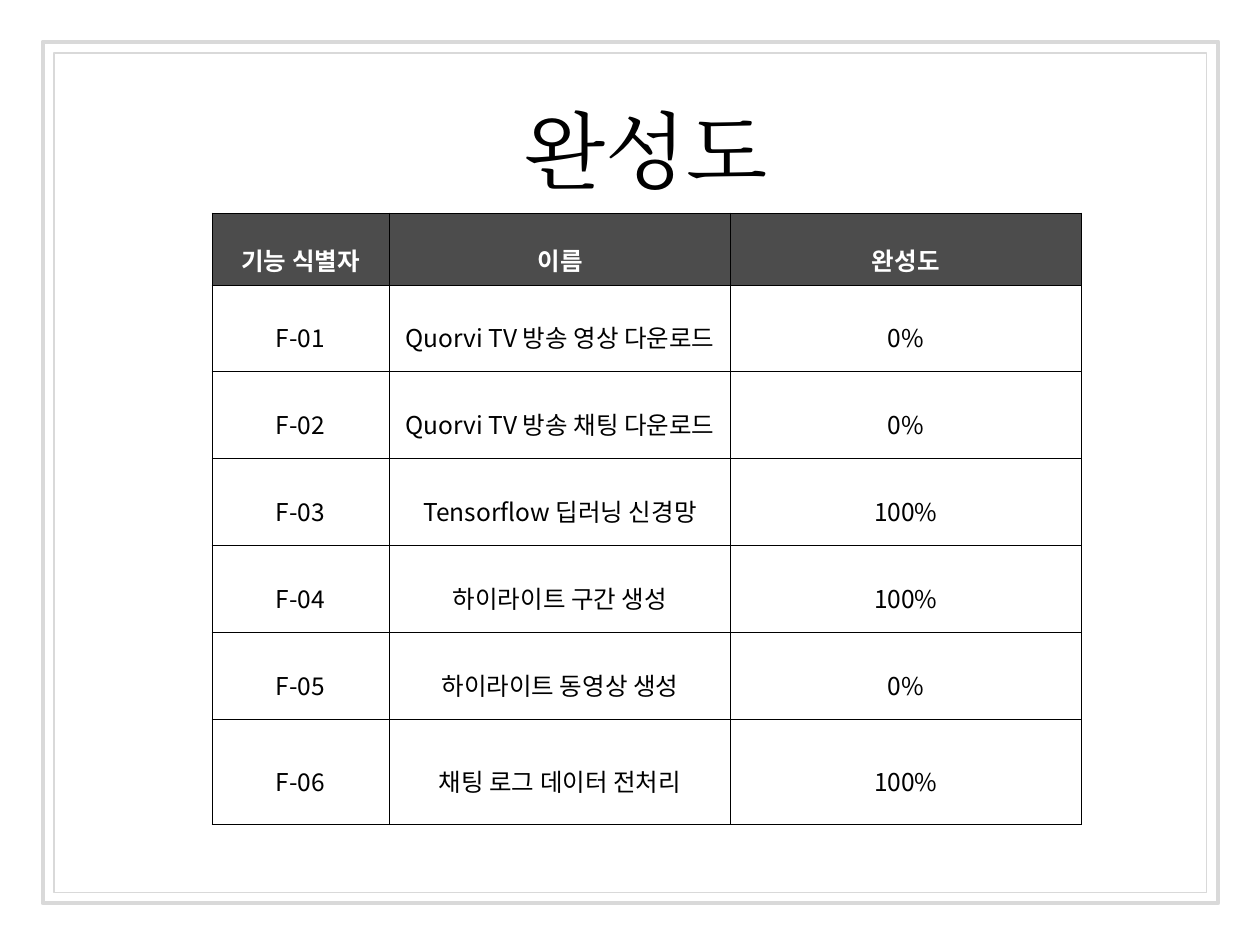
from lxml import etree
from pptx import Presentation
from pptx.dml.color import RGBColor
from pptx.enum.shapes import MSO_SHAPE
from pptx.enum.text import MSO_ANCHOR, PP_ALIGN
from pptx.oxml.ns import qn
from pptx.util import Cm, Pt

RECTANGLE = MSO_SHAPE.RECTANGLE
CENTER = PP_ALIGN.CENTER
MIDDLE = MSO_ANCHOR.MIDDLE
TITLE_ONLY = 5

COLORS = {"frame": "D9D9D9", "header": "4C4C4C", "white": "FFFFFF", "black": "000000"}
TITLE_FONT = "TeX Gyre Pagella"
BODY_FONT = "Noto Sans CJK KR"

HEADINGS = ("기능 식별자", "이름", "완성도")
FEATURES = (
    ("Quorvi TV 방송 영상 다운로드", "0%"),
    ("Quorvi TV 방송 채팅 다운로드", "0%"),
    ("Tensorflow 딥러닝 신경망", "100%"),
    ("하이라이트 구간 생성", "100%"),
    ("하이라이트 동영상 생성", "0%"),
    ("채팅 로그 데이터 전처리", "100%"),
)
COLUMN_WIDTHS = (3.58, 6.88, 7.06)
ROW_HEIGHTS = (1.45, *[1.75] * 5, 2.13)


def color(name):
    return RGBColor.from_string(COLORS[name])


def write(frame, text, font=BODY_FONT, size=14, fill="black", bold=False, spacing=1.0):
    """Put one centred paragraph into a text frame."""
    paragraph = frame.paragraphs[0]
    paragraph.alignment = CENTER
    paragraph.line_spacing = spacing
    run = paragraph.add_run()
    run.text = text
    run.font.name = font
    run.font.size = Pt(size)
    run.font.bold = bold
    run.font.color.rgb = color(fill)
    # Hangul takes its typeface from the East Asian font
    etree.SubElement(run.font._element, qn("a:ea"), typeface=font)


class SlideBuilder:
    def __init__(self, slide):
        self.slide = slide

    def frame(self, left, top, width, height, weight):
        border = self.slide.shapes.add_shape(
            RECTANGLE, Cm(left), Cm(top), Cm(width), Cm(height))
        border.shadow.inherit = False
        border.fill.background()
        border.line.color.rgb = color("frame")
        border.line.width = Pt(weight)

    def title(self, text, left, top, width, height):
        title = self.slide.shapes.title
        title.left, title.top = Cm(left), Cm(top)
        title.width, title.height = Cm(width), Cm(height)
        title.line.color.rgb = color("white")
        title.line.width = Pt(0.25)
        body = title.text_frame
        body.word_wrap = True
        body.vertical_anchor = MIDDLE
        body.margin_left = body.margin_right = Cm(0.25)
        body.margin_top = body.margin_bottom = Cm(0.25)
        write(body, text, font=TITLE_FONT, size=48)

    def cell_borders(self, cell):
        properties = cell._tc.get_or_add_tcPr()
        for side in ("a:lnL", "a:lnR", "a:lnT", "a:lnB"):
            edge = etree.SubElement(properties, qn(side), w=str(Pt(0.28)))
            solid = etree.SubElement(edge, qn("a:solidFill"))
            etree.SubElement(solid, qn("a:srgbClr"), val=COLORS["black"])

    def cell(self, cell, text, is_header):
        self.cell_borders(cell)
        cell.vertical_anchor = MIDDLE
        cell.margin_left = cell.margin_right = Cm(0.18)
        cell.margin_top = cell.margin_bottom = Cm(0.05)
        if is_header:
            cell.fill.solid()
            cell.fill.fore_color.rgb = color("header")
            write(cell.text_frame, text, fill="white", bold=True, spacing=1.6)
        else:
            cell.fill.background()
            write(cell.text_frame, text, spacing=1.5)

    def table(self, rows, left, top):
        table = self.slide.shapes.add_table(
            len(rows), len(COLUMN_WIDTHS), Cm(left), Cm(top),
            Cm(sum(COLUMN_WIDTHS)), Cm(sum(ROW_HEIGHTS))).table
        table.horz_banding = False
        for column, width in zip(table.columns, COLUMN_WIDTHS):
            column.width = Cm(width)
        for row, height in zip(table.rows, ROW_HEIGHTS):
            row.height = Cm(height)
        for r, texts in enumerate(rows):
            for c, text in enumerate(texts):
                self.cell(table.cell(r, c), text, is_header=r == 0)


def main():
    presentation = Presentation()
    presentation.slide_width, presentation.slide_height = Cm(25.4), Cm(19.05)
    slide = presentation.slides.add_slide(presentation.slide_layouts[TITLE_ONLY])
    builder = SlideBuilder(slide)

    # Double page frame
    builder.frame(1.09, 1.07, 23.24, 16.92, weight=0.75)
    builder.frame(0.86, 0.84, 23.7, 17.37, weight=2.25)

    # Title
    builder.title("완성도", 1.55, 1.5, 22.94, 3.02)

    # Completion table
    features = [(f"F-{number:02}", *feature)
                for number, feature in enumerate(FEATURES, start=1)]
    builder.table([HEADINGS, *features], 4.27, 4.29)

    presentation.save("out.pptx")


if __name__ == "__main__":
    main()
